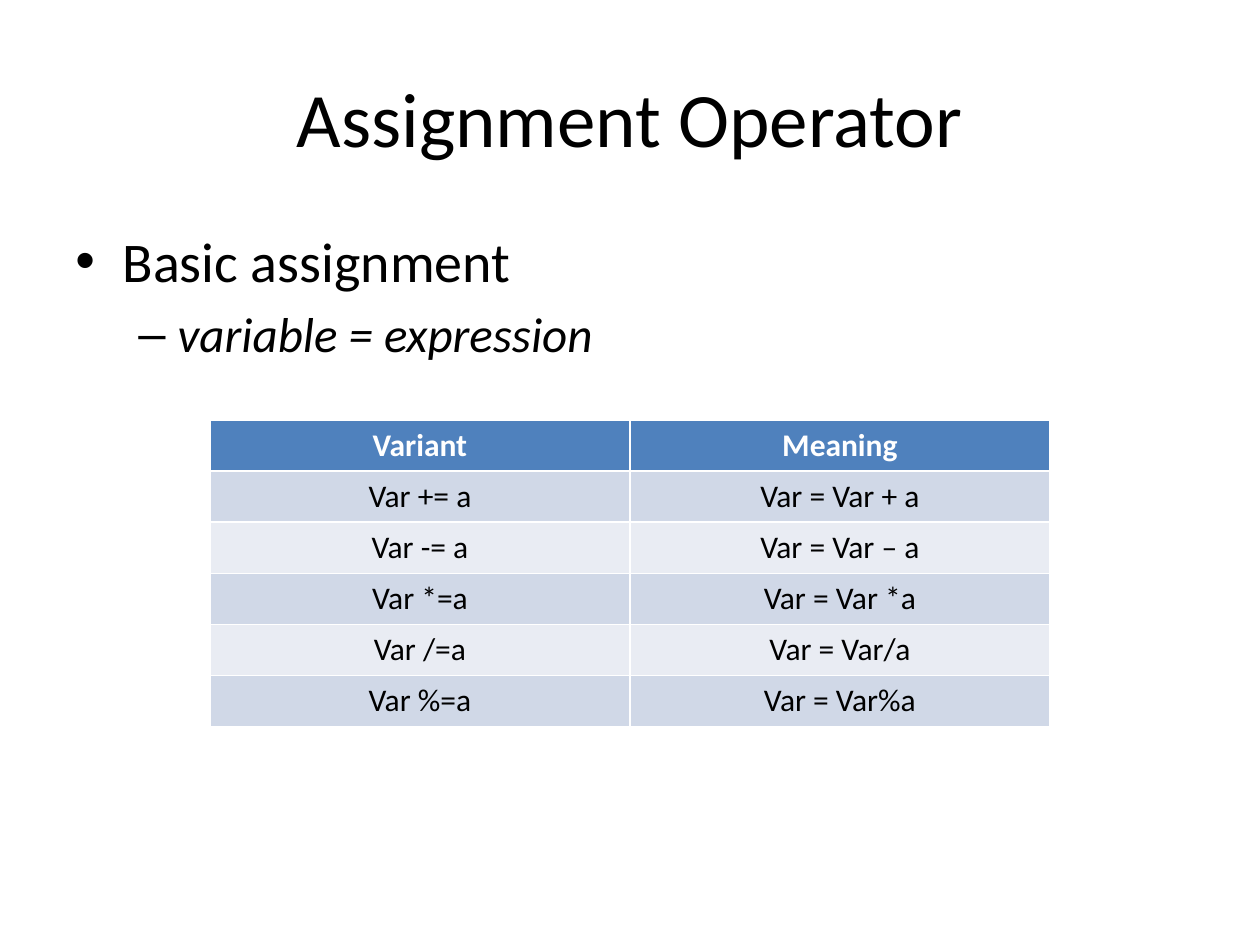
"""Build the Assignment Operator slide."""
import pptx
import pptx.util
import pptx.dml.color
import pptx.enum.text
import pptx.oxml
import pptx.oxml.ns

Pt = pptx.util.Pt
CENTER = pptx.enum.text.PP_ALIGN.CENTER
MIDDLE = pptx.enum.text.MSO_ANCHOR.MIDDLE
NS = pptx.oxml.ns.nsdecls("a")


def color(value):
    return pptx.dml.color.RGBColor.from_string(value)


def add_run(p, text, size, fill="000000", bold=False, italic=False):
    r = p.add_run()
    r.text = text
    r.font.name = "Calibri"
    r.font.size = Pt(size)
    r.font.bold = bold
    r.font.italic = italic
    r.font.color.rgb = color(fill)


prs = pptx.Presentation()
prs.slide_width, prs.slide_height = Pt(720), Pt(540)
s = prs.slides.add_slide(prs.slide_layouts[6])

tf = s.shapes.add_textbox(Pt(36), Pt(21.6), Pt(648), Pt(90)).text_frame
tf.word_wrap = True
tf.vertical_anchor = MIDDLE
p = tf.paragraphs[0]
p.alignment = CENTER
add_run(p, "Assignment Operator", 44)

tf = s.shapes.add_textbox(Pt(36), Pt(126), Pt(648), Pt(356.4)).text_frame
tf.word_wrap = True
bullets = [
    ("Basic assignment", 32, "•", 27, 27, 0),
    ("variable = expression", 28, "–", 58.5, 22.5, 5.6),
]
for level, (text, size, mark, margin, hang, before) in enumerate(bullets):
    p = tf.paragraphs[0] if level == 0 else tf.add_paragraph()
    p.level = level
    pPr = p._p.get_or_add_pPr()
    pPr.set("marL", str(Pt(margin)))
    pPr.set("indent", str(-Pt(hang)))
    pPr.append(pptx.oxml.parse_xml(f'<a:buFont {NS} typeface="Arial"/>'))
    pPr.append(pptx.oxml.parse_xml(f'<a:buChar {NS} char="{mark}"/>'))
    if before:
        p.space_before = Pt(before)
    add_run(p, text, size, italic=level == 1)

rows = [
    ("Variant", "Meaning"),
    ("Var += a", "Var = Var + a"),
    ("Var -= a", "Var = Var – a"),
    ("Var *=a", "Var = Var *a"),
    ("Var /=a", "Var = Var/a"),
    ("Var %=a", "Var = Var%a"),
]
row_height = 29.2
table = s.shapes.add_table(
    len(rows), 2, Pt(120), Pt(240), Pt(480), Pt(row_height * len(rows))
).table
for i, row in enumerate(rows):
    table.rows[i].height = Pt(row_height)
    header = i == 0
    band = "4F81BD" if header else "D0D8E7" if i % 2 else "E9ECF3"
    for j, text in enumerate(row):
        cell = table.cell(i, j)
        tcPr = cell._tc.get_or_add_tcPr()
        for side in ("lnL", "lnR", "lnT", "lnB"):
            tcPr.append(pptx.oxml.parse_xml(
                f'<a:{side} {NS} w="{Pt(0.96)}"><a:solidFill>'
                f'<a:srgbClr val="FFFFFF"/></a:solidFill></a:{side}>'
            ))
        cell.fill.solid()
        cell.fill.fore_color.rgb = color(band)
        p = cell.text_frame.paragraphs[0]
        p.alignment = CENTER
        add_run(p, text, 18, "FFFFFF" if header else "000000", bold=header)

prs.save("out.pptx")
